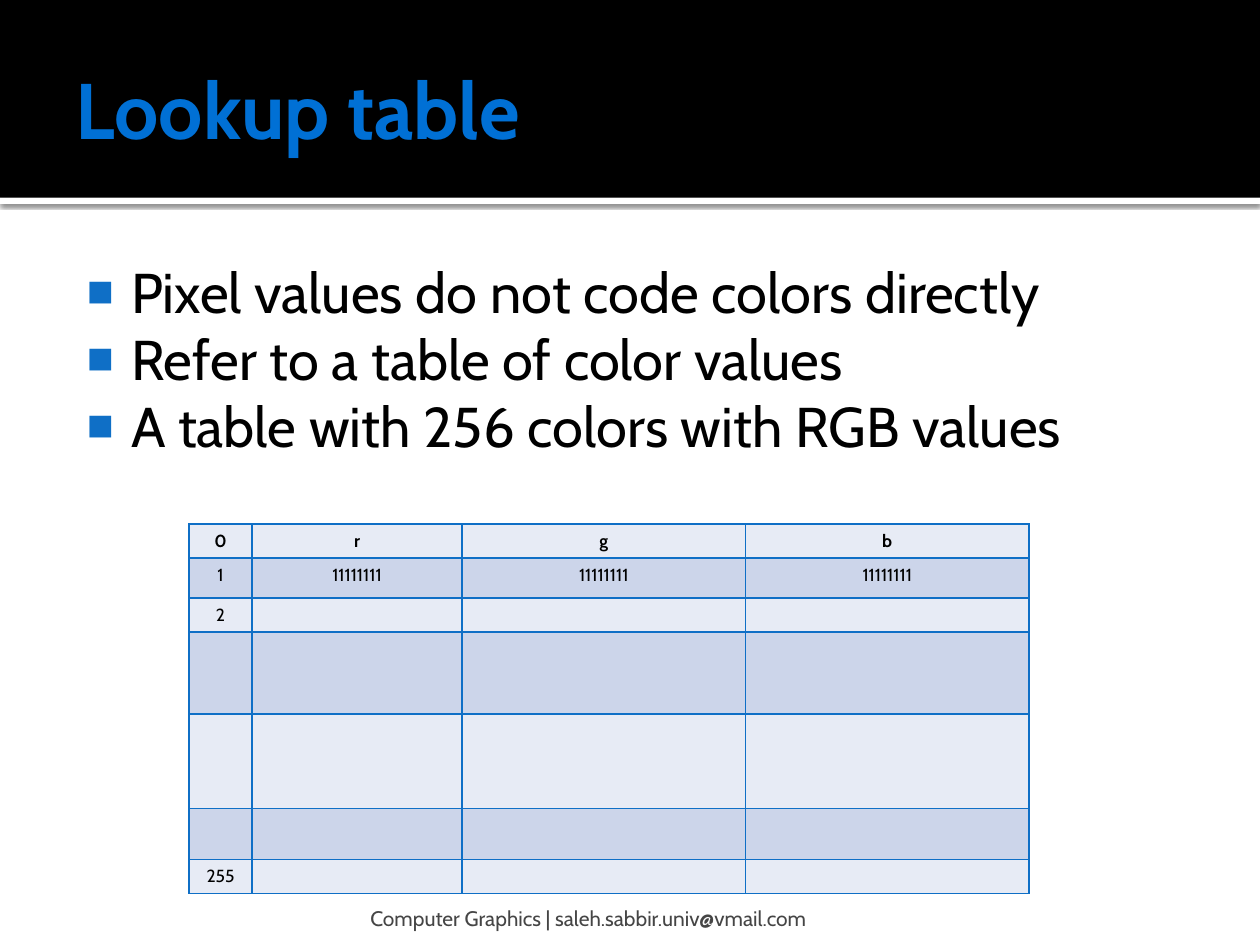
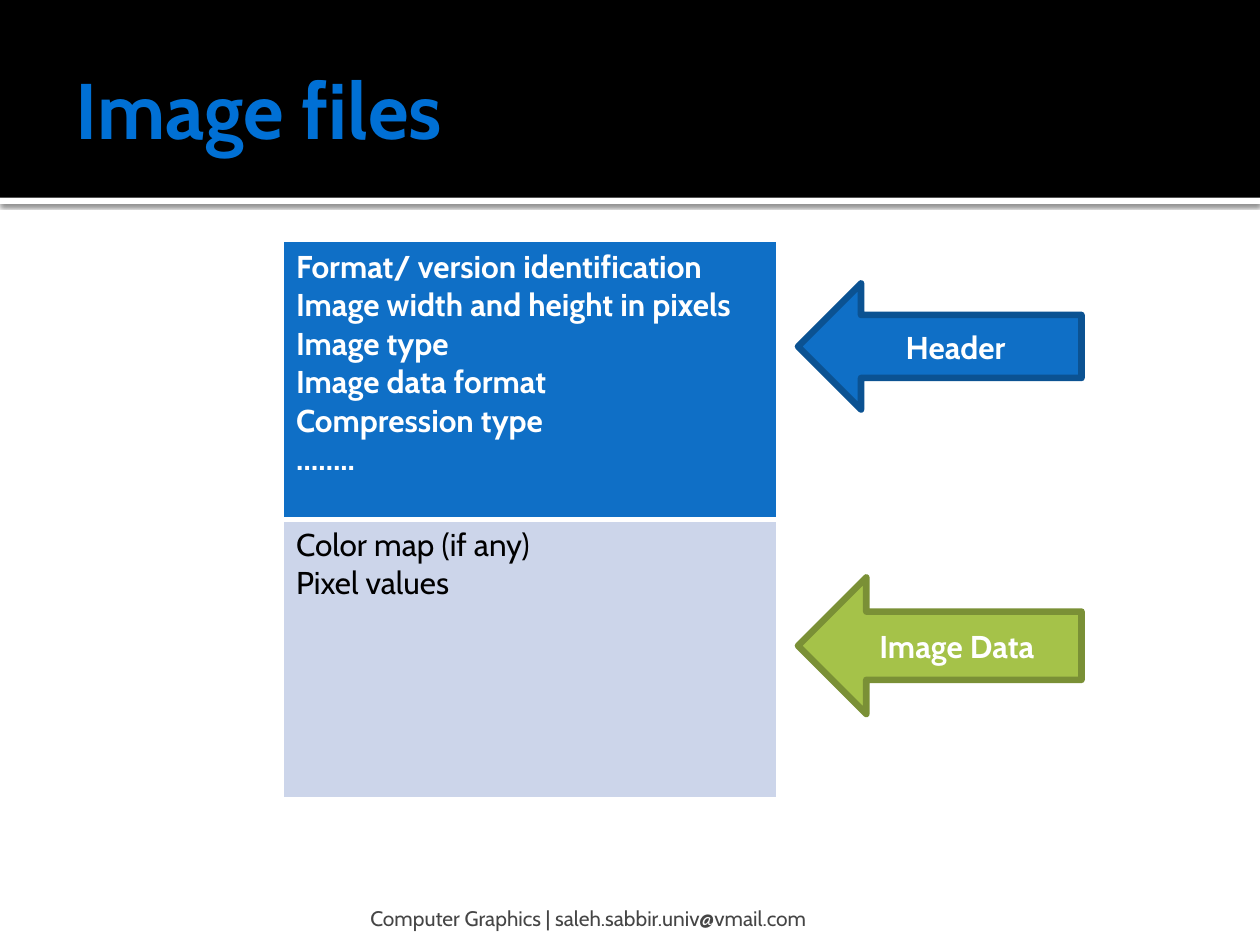
from lxml import etree
from pptx import Presentation
from pptx.dml.color import RGBColor
from pptx.enum import shapes, text
from pptx.oxml.ns import qn
from pptx.util import Pt

COLORS = {
    "white": "FFFFFF", "black": "000000", "title": "0070D5", "footer": "454545",
    "blue": "0F6FC6", "dark blue": "0B5292", "green": "A5C249", "dark green": "7A9036",
    "light row": "E7EBF5", "dark row": "CCD5EA",
}
FONT = "Cabin"
FOOTER = "Computer Graphics | saleh.sabbir.univ@vmail.com"
ALIGN = text.PP_ALIGN
ANCHOR = text.MSO_ANCHOR


def rgb(name):
    return RGBColor.from_string(COLORS[name])


def add_xml(parent, tag, **attributes):
    values = {key: str(value) for key, value in attributes.items()}
    return etree.SubElement(parent, qn(tag), values)


def add_color(parent, name):
    return add_xml(parent, "a:srgbClr", val=COLORS[name])


def write(frame, lines, size=18, color="black", bold=False, align=ALIGN.LEFT,
          anchor=None, insets=None):
    """Fill a text frame, one paragraph a line; insets are left, top, right, bottom."""
    frame.word_wrap = True
    if anchor is not None:
        frame.vertical_anchor = anchor
    if insets:
        (frame.margin_left, frame.margin_top,
         frame.margin_right, frame.margin_bottom) = map(Pt, insets)
    for number, line in enumerate(lines):
        para = frame.paragraphs[0] if number == 0 else frame.add_paragraph()
        para.alignment = align
        para.space_before = Pt(0)
        if not line:
            add_xml(para._p, "a:endParaRPr", sz=size * 100)
            continue
        span = para.add_run()
        span.text = line
        span.font.name = FONT
        span.font.size = Pt(size)
        span.font.bold = bold
        span.font.color.rgb = rgb(color)


class Lecture:
    def __init__(self):
        self.deck = Presentation()
        self.deck.slide_width, self.deck.slide_height = Pt(720), Pt(540)
        self.page = None

    def add_page(self, title, layout):
        self.page = self.deck.slides.add_slide(self.deck.slide_layouts[layout])
        self.add_bands()
        self.add_title(title)
        self.add_footer()

    def add_shape(self, kind, place, fill, line=None):
        shape = self.page.shapes.add_shape(kind, *map(Pt, place))
        shape.shadow.inherit = False
        shape.fill.solid()
        shape.fill.fore_color.rgb = rgb(fill)
        if line:
            shape.line.color.rgb = rgb(line)
            shape.line.width = Pt(3.78)
        else:
            shape.line.fill.background()
        return shape

    def add_bands(self):
        """Put the black title band and its shadowed white rule behind the text."""
        kind = shapes.MSO_SHAPE.RECTANGLE
        rule = self.add_shape(kind, (0, 113, 720, 3.6), "white")
        band = self.add_shape(kind, (0, 0, 720, 113), "black")
        effects = rule._element.spPr.find(qn("a:effectLst"))
        shadow = add_xml(effects, "a:outerShdw", blurRad=Pt(2.5), dist=Pt(0.8),
                         dir=90 * 60000, algn="tl", rotWithShape=0)
        add_xml(add_color(shadow, "black"), "a:alpha", val=60000)
        tree = self.page.shapes._spTree
        for shape in (band, rule):
            tree.insert(2, shape._element)

    def fill_placeholder(self, box, place, lines, **style):
        box.left, box.top, box.width, box.height = map(Pt, place)
        box.text_frame.auto_size = text.MSO_AUTO_SIZE.NONE
        write(box.text_frame, lines, **style)

    def add_title(self, title):
        self.fill_placeholder(self.page.shapes.title, (36, 12.2, 648, 98.6), [title],
                              size=45, color="title", bold=True,
                              anchor=ANCHOR.MIDDLE, insets=(7.2, 3.6, 3.6, 3.6))

    def add_list(self, items):
        box = self.page.placeholders[1]
        self.fill_placeholder(box, (36, 139.7, 648, 364.3), items, size=32,
                              anchor=ANCHOR.TOP, insets=(4.3, 7.2, 7.2, 3.6))
        for para in box.text_frame.paragraphs:
            props = para._p.get_or_add_pPr()
            props.set("marL", str(Pt(34.56)))
            props.set("indent", str(Pt(-25.2)))
            add_color(add_xml(props, "a:buClr"), "blue")
            add_xml(props, "a:buSzPct", val=80000)
            add_xml(props, "a:buFont", typeface="Arial")
            add_xml(props, "a:buChar", char="■")

    def add_footer(self):
        box = self.page.shapes.add_textbox(Pt(208), Pt(510), Pt(433.5), Pt(21.6))
        write(box.text_frame, [FOOTER], size=12, color="footer",
              anchor=ANCHOR.BOTTOM, insets=(3.6, 3.6, 3.6, 0))

    def add_table(self, left, top, widths, heights):
        table = self.page.shapes.add_table(
            len(heights), len(widths), Pt(left), Pt(top),
            Pt(sum(widths)), Pt(sum(heights))).table
        table.first_row = table.horz_banding = False
        for column, width in zip(table.columns, widths):
            column.width = Pt(width)
        for row, height in zip(table.rows, heights):
            row.height = Pt(height)
        return table

    def fill_cell(self, cell, lines, fill, border, top=1, bottom=1, **style):
        props = cell._tc.get_or_add_tcPr()
        for side, width in zip("LRTB", (1, 1, top, bottom)):
            line = add_xml(props, f"a:ln{side}", w=Pt(width))
            add_color(add_xml(line, "a:solidFill"), border)
        cell.fill.solid()
        cell.fill.fore_color.rgb = rgb(fill)
        write(cell.text_frame, lines, **style)

    def add_arrow(self, label, top, height, fill, line):
        arrow = self.add_shape(shapes.MSO_SHAPE.LEFT_ARROW, (456, top, 162, height),
                               fill, line)
        write(arrow.text_frame, [label], color="white", bold=True,
              align=ALIGN.CENTER, anchor=ANCHOR.MIDDLE)


def build_lookup_page(lecture):
    lecture.add_page("Lookup table", layout=1)
    lecture.add_list(["Pixel values do not code colors directly",
                      "Refer to a table of color values",
                      "A table with 256 colors with RGB values"])
    blank = [""] * 3
    rows = [["0", "r", "g", "b"], ["1"] + ["11111111"] * 3, ["2"] + blank,
            [""] + blank, [""] + blank, [""] + blank, ["255"] + blank]
    table = lecture.add_table(108, 299.5, [36, 120, 162, 162],
                              [19.4, 22.8, 19.4, 46.8, 54, 29.3, 19.4])
    for r, row in enumerate(rows):
        for c, value in enumerate(row):
            lecture.fill_cell(table.cell(r, c), [value],
                              "dark row" if r % 2 else "light row", "blue",
                              size=10, bold=r == 0, align=ALIGN.CENTER)


def build_files_page(lecture):
    lecture.add_page("Image files", layout=5)
    header = ["Format/ version identification", "Image width and height in pixels",
              "Image type", "Image data format", "Compression type", "…….."]
    image_data = ["Color map (if any)", "Pixel values"]
    table = lecture.add_table(162, 138, [282], [159, 159])
    lecture.fill_cell(table.cell(0, 0), header, "blue", "white", bottom=3,
                      color="white", bold=True)
    lecture.fill_cell(table.cell(1, 0), image_data, "dark row", "white", top=3)
    lecture.add_arrow("Header", 162, 72, "blue", "dark blue")
    lecture.add_arrow("Image Data", 330, 78, "green", "dark green")


def main():
    lecture = Lecture()
    build_lookup_page(lecture)
    build_files_page(lecture)
    lecture.deck.save("out.pptx")


if __name__ == "__main__":
    main()
